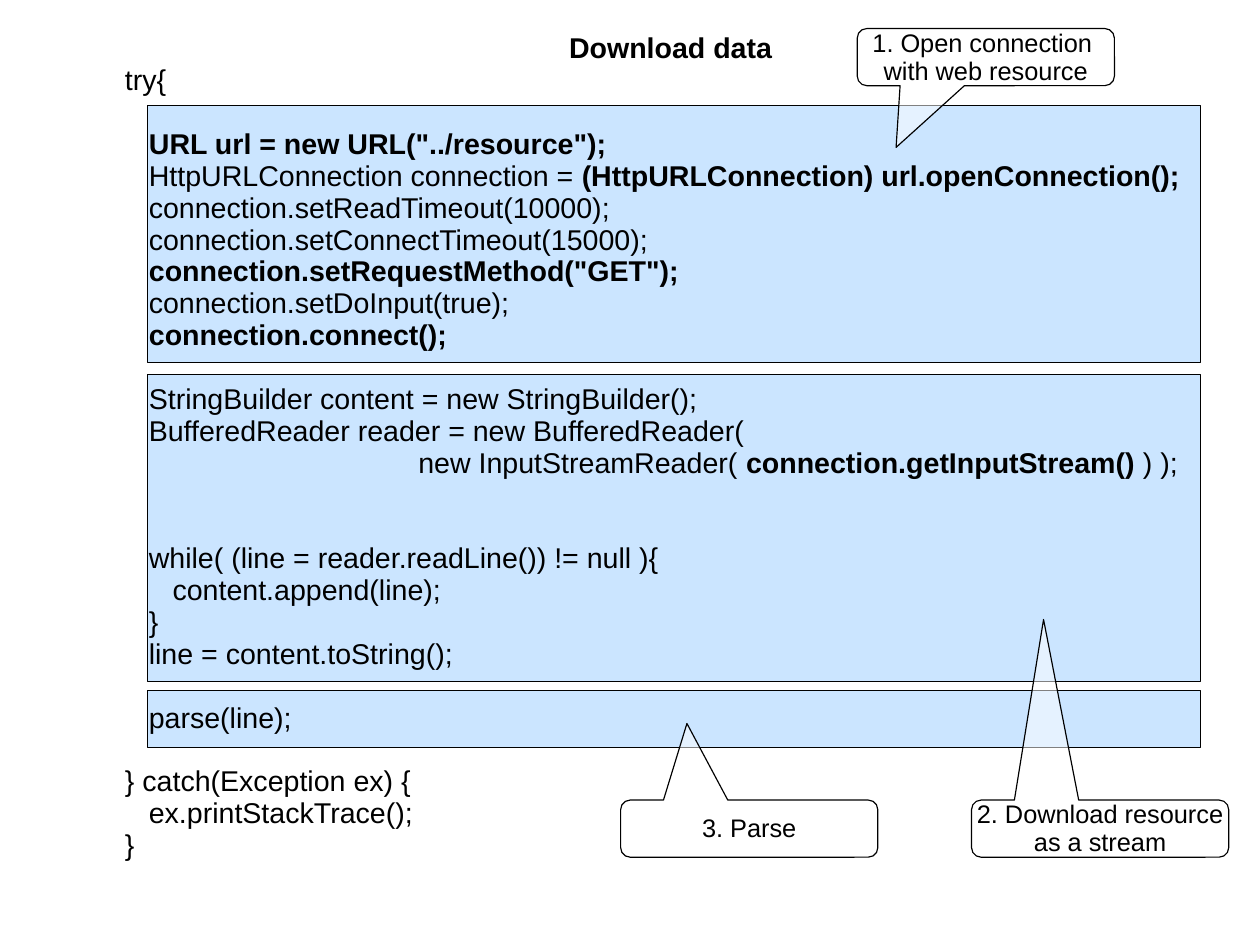
from lxml import etree
from pptx import Presentation
from pptx.dml.color import RGBColor
from pptx.enum.shapes import MSO_SHAPE
from pptx.enum.text import MSO_ANCHOR, PP_ALIGN
from pptx.oxml.ns import qn
from pptx.util import Inches, Pt

COLORS = {"ink": "000000", "panel": "99CCFF", "callout": "FFFFFF"}
FONT = "Arial"
BLANK_LINE = 20  # points
CM_PER_INCH = 2.54

# Code lines: ** toggles bold, each entry is (blank lines above, line)
CODE = [
    (0, '       try{'),
    (1, '          **URL url = new URL("../resource");'),
    (0, '          HttpURLConnection connection = **(HttpURLConnection) url.openConnection();'),
    (0, '          connection.setReadTimeout(10000);'),
    (0, '          connection.setConnectTimeout(15000);'),
    (0, '          **connection.setRequestMethod("GET");'),
    (0, '          connection.setDoInput(true);'),
    (0, '          **connection.connect();'),
    (1, '          StringBuilder content = new StringBuilder();'),
    (0, '          BufferedReader reader = new BufferedReader('),
    (0, '                                            new InputStreamReader( **connection.getInputStream()** ) );'),
    (2, '          while( (line = reader.readLine()) != null ){'),
    (0, '             content.append(line);'),
    (0, '          }'),
    (0, '          line = content.toString();'),
    (1, '          parse(line);'),
    (1, '       } catch(Exception ex) {'),
    (0, '          ex.printStackTrace();'),
    (0, '       }'),
]
PANELS = [(0.92, 2.25), (3.28, 2.68), (6.04, 0.5)]  # top, height
# Callouts: left, top, tip of the tail, lines
CALLOUTS = [
    (7.5, 0.25, (7.84, 1.29), ["1. Open connection ", "with web resource"]),
    (8.5, 7, (9.13, 5.42), ["2. Download resource", "as a stream"]),
    (5.43, 7, (6.01, 6.33), ["3. Parse"]),
]


def color(name):
    return RGBColor.from_string(COLORS[name])


def set_margins(tf, top):
    tf.margin_left = tf.margin_right = Inches(0.1)
    tf.margin_top, tf.margin_bottom = Inches(top), Inches(0.05)


def write_line(p, text, size, bold=False):
    p.line_spacing = 0.93
    for i, part in enumerate(text.split("**")):
        if part.strip():
            r = p.add_run()
            r.text = part
            r.font.bold = bold or i % 2 == 1
        elif part:
            r = p.add_run()
            r.text = part
    for r in p.runs:
        r.font.name, r.font.size = FONT, Pt(size)
        r.font.color.rgb = color("ink")


def add_box(s, kind, x, y, w, h, fill):
    """Half-transparent outlined shape."""
    sp = s.shapes.add_shape(kind, Inches(x), Inches(y), Inches(w), Inches(h))
    sp.shadow.inherit = False
    sp.fill.solid()
    sp.fill.fore_color.rgb = color(fill)
    rgb = sp.fill._xPr.find(qn("a:solidFill"))[0]
    etree.SubElement(rgb, qn("a:alpha")).set("val", "50000")
    sp.line.color.rgb = color("ink")
    sp.line.width = Pt(0.75)
    return sp


def add_title(s, x, y, w, h):
    tf = s.shapes.add_textbox(Inches(x), Inches(y), Inches(w), Inches(h)).text_frame
    tf.word_wrap = False
    set_margins(tf, 0.05)
    write_line(tf.paragraphs[0], "Download data", 18, bold=True)


def add_code(s, x, y, w, h):
    tf = s.shapes.add_textbox(Inches(x), Inches(y), Inches(w), Inches(h)).text_frame
    tf.word_wrap = True
    set_margins(tf, 0.07)
    for i, (blanks, line) in enumerate(CODE):
        p = tf.add_paragraph() if i else tf.paragraphs[0]
        if blanks:
            p.space_before = Pt(blanks * BLANK_LINE)
        write_line(p, line, 18)


def add_callout(s, x, y, w, h, tip, lines):
    sp = add_box(s, MSO_SHAPE.ROUNDED_RECTANGULAR_CALLOUT, x, y, w, h, "callout")
    sp.adjustments[0] = (tip[0] - x) / w - 0.5
    sp.adjustments[1] = (tip[1] - y) / h - 0.5
    sp.adjustments[2] = 0.167
    tf = sp.text_frame
    tf.word_wrap = False
    tf.vertical_anchor = MSO_ANCHOR.MIDDLE
    set_margins(tf, 0.06)
    for i, line in enumerate(lines):
        p = tf.add_paragraph() if i else tf.paragraphs[0]
        p.alignment = PP_ALIGN.CENTER
        write_line(p, line, 16)


def main():
    prs = Presentation()
    prs.slide_width = Inches(28 / CM_PER_INCH)
    prs.slide_height = Inches(21 / CM_PER_INCH)
    s = prs.slides.add_slide(prs.slide_layouts[6])

    # Panels behind the code
    for top, height in PANELS:
        add_box(s, MSO_SHAPE.RECTANGLE, 1.29, top, 9.21, height, "panel")
    add_code(s, 0.51, 0.5, 9.99, 7.38)

    # Step callouts and title
    for left, top, tip, lines in CALLOUTS:
        add_callout(s, left, top, 2.25, 0.5, tip, lines)
    add_title(s, 4.88, 0.24, 1.98, 0.38)
    prs.save("out.pptx")


if __name__ == "__main__":
    main()
